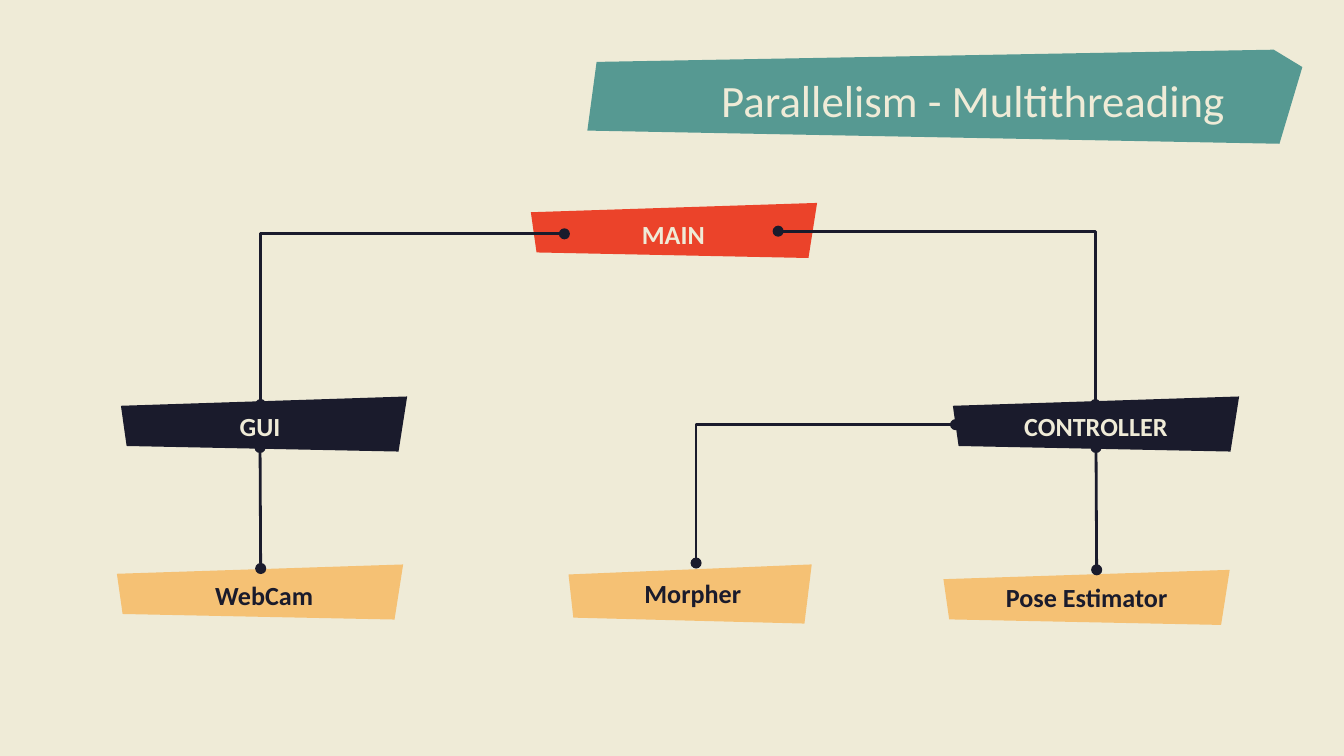
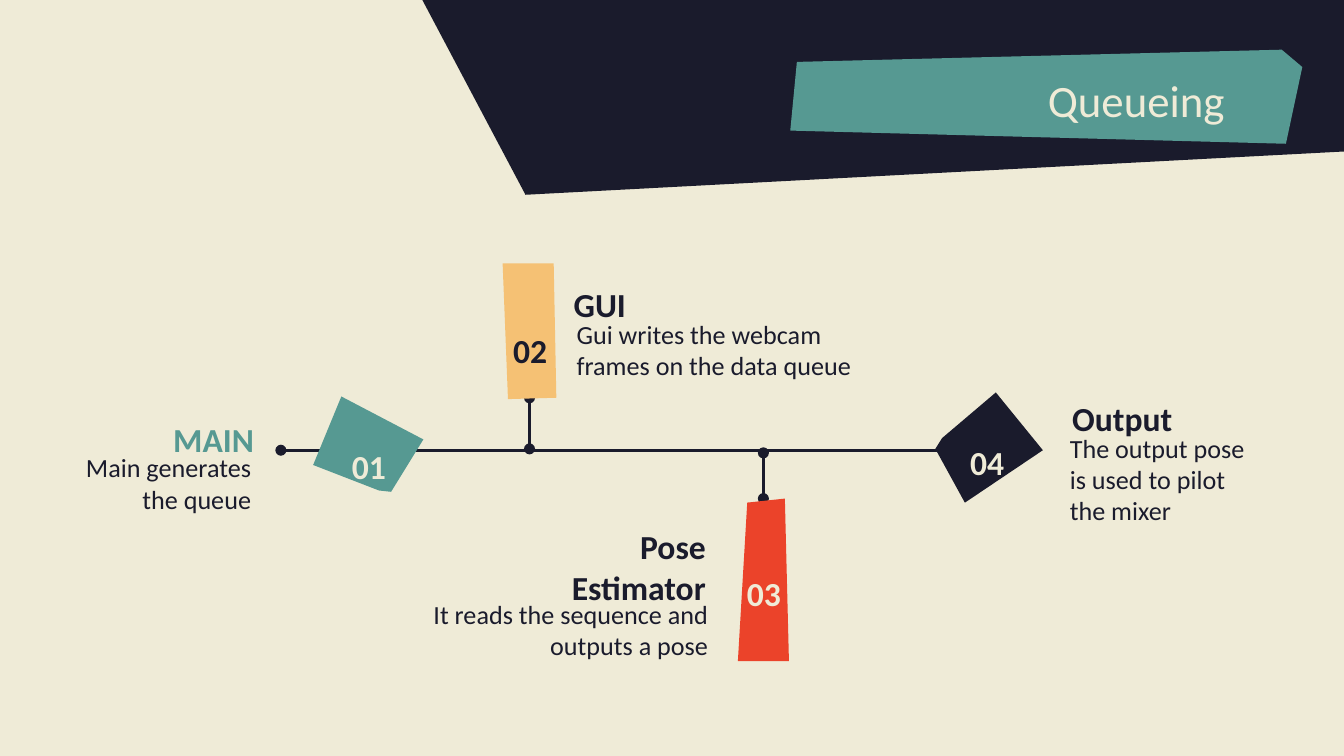
from dataclasses import dataclass

from pptx import Presentation
from pptx.dml.color import RGBColor
from pptx.enum.shapes import MSO_CONNECTOR
from pptx.enum.text import MSO_ANCHOR, PP_ALIGN
from pptx.oxml.ns import qn
from pptx.oxml.xmlchemy import OxmlElement
from pptx.presentation import Presentation as Deck
from pptx.shapes.autoshape import Shape
from pptx.shapes.connector import Connector
from pptx.slide import Slide
from pptx.util import Inches, Pt

CREAM = RGBColor(0xEF, 0xEB, 0xD7)
NAVY = RGBColor(0x1A, 0x1B, 0x2C)
TEAL = RGBColor(0x56, 0x99, 0x92)
SAND = RGBColor(0xF5, 0xC1, 0x74)
RED = RGBColor(0xEB, 0x43, 0x2A)

FONT = "Calibri"
LEFT, CENTER, RIGHT = PP_ALIGN.LEFT, PP_ALIGN.CENTER, PP_ALIGN.RIGHT
TOP, MIDDLE, BOTTOM = MSO_ANCHOR.TOP, MSO_ANCHOR.MIDDLE, MSO_ANCHOR.BOTTOM
STRAIGHT, ELBOW = MSO_CONNECTOR.STRAIGHT, MSO_CONNECTOR.ELBOW
BOTTOM_SITE = 2

Point = tuple[float, float]
Frame = tuple[float, float, float, float]

# Outlines in percent of width and height
BANNER_OUTLINE = [(96, 0), (100, 18.5), (96.8, 100), (0, 86), (1.3, 13)]
PLAQUE_OUTLINE = [(0, 17), (2, 90), (97, 100), (100, 0)]


@dataclass(frozen=True)
class TextStyle:
    size: int
    bold: bool = False
    anchor: MSO_ANCHOR = MIDDLE
    insets: Frame = (0.1, 0.1, 0.1, 0.1)  # left, top, right, bottom
    space_after: int = 0


@dataclass(frozen=True)
class Plaque:
    name: str
    frame: Frame
    fill: RGBColor
    label_frame: Frame
    label_color: RGBColor = CREAM


@dataclass(frozen=True)
class Step:
    number: str
    outline: list[Point]
    fill: RGBColor
    number_at: Point
    heading: str
    heading_frame: Frame
    heading_align: PP_ALIGN
    detail: str
    detail_frame: Frame
    detail_align: PP_ALIGN
    detail_anchor: MSO_ANCHOR = MIDDLE
    number_color: RGBColor = CREAM
    heading_color: RGBColor = NAVY


TITLE = TextStyle(24, anchor=TOP)
LABEL = TextStyle(14, bold=True)
HEADING = TextStyle(18, bold=True, insets=(0.1, 0.2, 0.1, 0), space_after=16)


def add_polygon(page: Slide, points: list[Point], fill: RGBColor) -> Shape:
    corners = [(Inches(x), Inches(y)) for x, y in points]
    builder = page.shapes.build_freeform(*corners[0])
    builder.add_line_segments(corners[1:], close=True)
    shape = builder.convert_to_shape()
    shape.shadow.inherit = False
    shape.fill.solid()
    shape.fill.fore_color.rgb = fill
    shape.line.fill.background()
    return shape


def fit_outline(outline: list[Point], frame: Frame) -> list[Point]:
    left, top, width, height = frame
    return [(left + width * x / 100, top + height * y / 100) for x, y in outline]


def add_text(page: Slide, text: str, frame: Frame, style: TextStyle,
             color: RGBColor, align: PP_ALIGN) -> Shape:
    box = page.shapes.add_textbox(*(Inches(length) for length in frame))
    text_frame = box.text_frame
    text_frame.word_wrap = True
    text_frame.vertical_anchor = style.anchor
    (text_frame.margin_left, text_frame.margin_top, text_frame.margin_right,
     text_frame.margin_bottom) = (Inches(inset) for inset in style.insets)
    text_frame.text = text
    para = text_frame.paragraphs[0]
    para.alignment = align
    para.space_after = Pt(style.space_after)
    font = para.runs[0].font
    font.name = FONT
    font.size = Pt(style.size)
    font.bold = style.bold
    font.color.rgb = color
    return box


def add_link(page: Slide, start: Point, end: Point, bent: bool = False) -> Connector:
    """Line with a dot at each end; a bent one runs across, then down."""
    link = page.shapes.add_connector(
        ELBOW if bent else STRAIGHT, *(Inches(length) for length in start + end))
    link.line.color.rgb = NAVY
    link.line.width = Pt(1.5)
    properties = link.element.spPr
    if bent:
        properties.find(qn("a:prstGeom")).set("prst", "bentConnector2")
    outline = properties.find(qn("a:ln"))
    for tag in ("a:headEnd", "a:tailEnd"):
        dot = OxmlElement(tag)
        dot.set("type", "oval")
        outline.append(dot)
    properties.append(OxmlElement("a:effectLst"))
    return link


def add_page(deck: Deck) -> Slide:
    page = deck.slides.add_slide(deck.slide_layouts[6])
    page.background.fill.solid()
    page.background.fill.fore_color.rgb = CREAM
    return page


def add_title(page: Slide, title: str, banner_width: float) -> None:
    banner = (9.69 - banner_width, 0.37, banner_width, 0.7)
    add_polygon(page, fit_outline(BANNER_OUTLINE, banner), TEAL)
    add_text(page, title, (0.81, 0.44, 8.4, 0.63), TITLE, CREAM, RIGHT)


PLAQUES = [
    Plaque("MAIN", (3.95, 1.51, 2.13, 0.41), RED, (4.2, 1.58, 1.62, 0.32)),
    Plaque("GUI", (0.9, 2.95, 2.13, 0.41), NAVY, (0.96, 3.01, 1.95, 0.32)),
    Plaque("CONTROLLER", (7.09, 2.95, 2.13, 0.41), NAVY, (7.18, 3.01, 1.95, 0.32)),
    Plaque("WebCam", (0.87, 4.2, 2.13, 0.41), SAND, (0.99, 4.27, 1.95, 0.32), NAVY),
    Plaque("Morpher", (4.23, 4.2, 1.81, 0.44), SAND, (4.18, 4.25, 1.95, 0.32), NAVY),
    Plaque("Pose Estimator", (7.02, 4.24, 2.13, 0.41), SAND,
           (7.11, 4.28, 1.95, 0.32), NAVY),
]

STEPS = [
    Step("01", [(2.54, 2.95), (2.33, 3.46), (2.82, 3.65), (2.91, 3.66), (3.15, 3.27)],
         TEAL, (2.41, 3.2),
         "MAIN", (1.16, 3, 0.86, 0.33), CENTER,
         "Main generates the queue", (0.61, 3.33, 1.26, 0.52), RIGHT,
         heading_color=TEAL),
    Step("02", [(3.74, 1.96), (4.12, 1.96), (4.14, 2.96), (3.78, 2.97)],
         SAND, (3.61, 2.34),
         "GUI", (4.17, 2, 0.67, 0.33), LEFT,
         "Gui writes the webcam frames on the data queue",
         (4.29, 2.36, 2.29, 0.56), LEFT, TOP, number_color=NAVY),
    Step("03", [(5.87, 4.92), (5.49, 4.92), (5.56, 3.74), (5.84, 3.71)],
         RED, (5.35, 4.15),
         "Pose Estimator", (3.73, 3.95, 1.62, 0.33), RIGHT,
         "It reads the sequence and outputs a pose",
         (2.98, 4.4, 2.29, 0.52), RIGHT, BOTTOM),
    Step("04", [(7.76, 3.35), (7.41, 2.92), (7.01, 3.26), (6.96, 3.34), (7.18, 3.74)],
         NAVY, (7.01, 3.17),
         "Output", (7.81, 2.85, 1.08, 0.32), CENTER,
         "The output pose is used to pilot the mixer",
         (7.96, 3.3, 1.41, 0.52), LEFT),
]


def build_threads(deck: Deck) -> None:
    page = add_page(deck)
    add_title(page, "Parallelism - Multithreading", 5.32)

    # Thread names on plaques
    labels = {}
    for plaque in PLAQUES:
        add_polygon(page, fit_outline(PLAQUE_OUTLINE, plaque.frame), plaque.fill)
        labels[plaque.name] = add_text(page, plaque.name, plaque.label_frame, LABEL,
                                       plaque.label_color, CENTER)

    # Who starts whom
    add_link(page, (4.2, 1.74), (1.94, 3.01), bent=True)
    add_link(page, (5.79, 1.72), (8.15, 3.01), bent=True)
    add_link(page, (7.11, 3.16), (5.18, 4.19), bent=True)
    for parent, start, end in (("GUI", (1.94, 3.33), (1.94, 4.23)),
                               ("CONTROLLER", (8.15, 3.33), (8.16, 4.24))):
        add_link(page, start, end).begin_connect(labels[parent], BOTTOM_SITE)


def build_queue(deck: Deck) -> None:
    page = add_page(deck)
    add_polygon(page, [(3.1, -0.08), (3.91, 1.45), (10.15, 1.12), (10.12, -0.08)], NAVY)
    add_title(page, "Queueing", 3.81)

    # Timeline and its two branches
    add_link(page, (2.09, 3.35), (7.18, 3.35))
    add_link(page, (3.94, 3.34), (3.94, 2.96))
    add_link(page, (5.68, 3.37), (5.68, 3.71))

    # Numbered steps
    for step in STEPS:
        add_polygon(page, step.outline, step.fill)
        add_text(page, step.number, (*step.number_at, 0.67, 0.33), HEADING,
                 step.number_color, CENTER)
        add_text(page, step.heading, step.heading_frame, HEADING,
                 step.heading_color, step.heading_align)
        detail = TextStyle(14, anchor=step.detail_anchor, insets=(0, 0.01, 0, 0))
        add_text(page, step.detail, step.detail_frame, detail, NAVY, step.detail_align)


def main() -> None:
    deck = Presentation()
    deck.slide_width = Inches(10)
    deck.slide_height = Inches(10) * 9 // 16
    build_threads(deck)
    build_queue(deck)
    deck.save("out.pptx")


if __name__ == "__main__":
    main()
